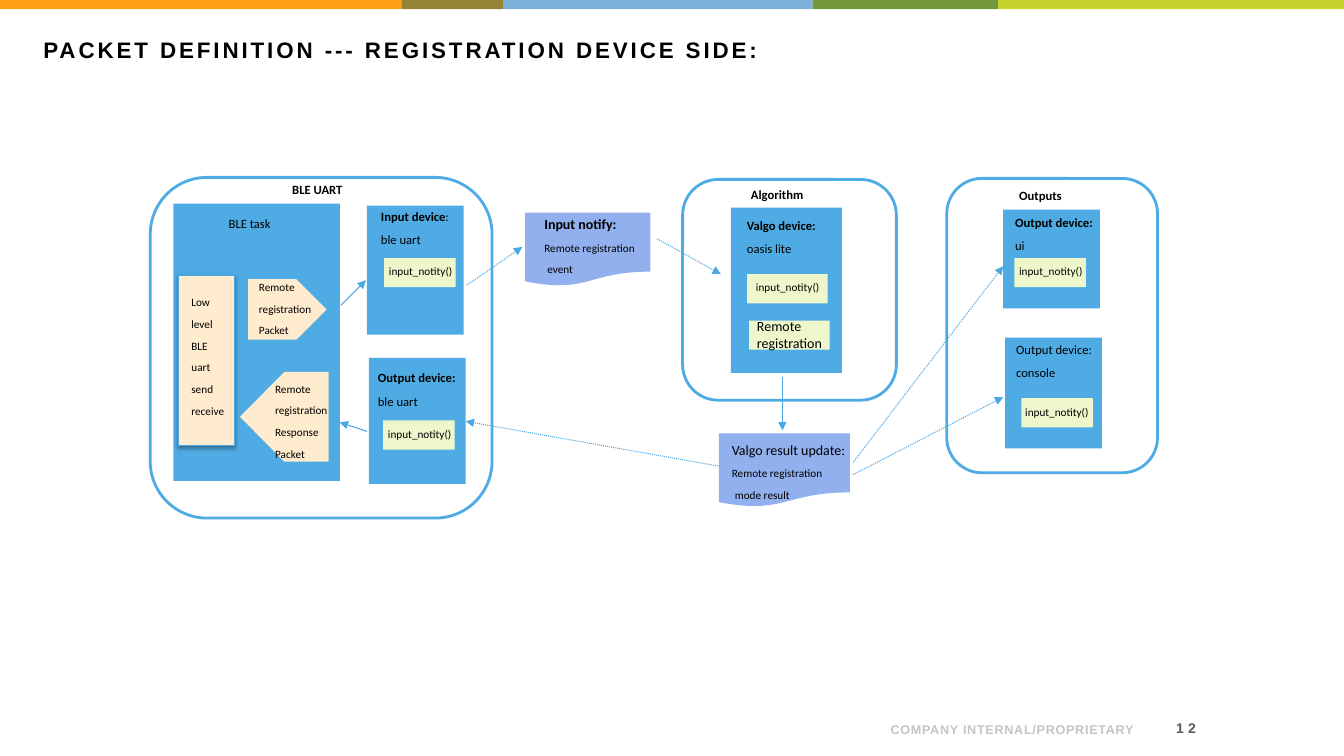
from dataclasses import dataclass

from lxml.etree import SubElement
from pptx import Presentation
from pptx.dml.color import RGBColor
from pptx.enum.dml import MSO_LINE
from pptx.enum.shapes import MSO_CONNECTOR, MSO_SHAPE
from pptx.enum.text import MSO_ANCHOR, PP_ALIGN
from pptx.oxml import parse_xml
from pptx.oxml.ns import nsdecls, qn
from pptx.util import Pt

PX = 9144  # 100 px to the inch


@dataclass(frozen=True)
class Theme:
    body_font: str = "Calibri"
    title_font: str = "Arial"
    title_size: int = 16
    heading: int = 10
    label: int = 9
    small: int = 8
    black: str = "000000"
    white: str = "FFFFFF"
    blue: str = "4FABE3"
    arrow: str = "4AA8E2"
    cream: str = "FFEBCE"
    lime: str = "EEF7CC"
    lilac: str = "92B0EE"
    page_number: str = "595959"
    footer: str = "C4C4C4"
    bands: tuple = ("FFA015", "958436", "7DB2DB", "73983E", "C7D22D")


theme = Theme()
deck = Presentation()
deck.slide_width, deck.slide_height = 1333 * PX, 750 * PX
page = deck.slides.add_slide(deck.slide_layouts[5])


def add_block(kind, at, fill, line=None, width=2):
    block = page.shapes.add_shape(kind, *[value * PX for value in at])
    block.shadow.inherit = False
    block.fill.solid()
    block.fill.fore_color.rgb = RGBColor.from_string(fill)
    if line:
        block.line.color.rgb = RGBColor.from_string(line)
        block.line.width = Pt(width)
    else:
        block.line.fill.background()
    return block


def style_span(span, size, bold, font=theme.body_font, color=theme.black, spacing=0):
    """Format one run; spacing is in hundredths of a point."""
    span.font.name, span.font.size, span.font.bold = font, Pt(size), bold
    span.font.color.rgb = RGBColor.from_string(color)
    if spacing:
        span.font._element.set("spc", str(spacing))


# Title, colour band and footer
title = page.shapes.title
title.left, title.top, title.width, title.height = [v * PX for v in (33, 31, 1253, 72)]
title.text_frame.text = "PACKET DEFINITION --- REGISTRATION DEVICE SIDE:"
title.text_frame.vertical_anchor = MSO_ANCHOR.TOP
title.text_frame.paragraphs[0].alignment = PP_ALIGN.LEFT
style_span(title.text_frame.paragraphs[0].runs[0], theme.title_size, True,
           theme.title_font, spacing=210)

band_edges = (0, 398, 499, 806, 990, 1333)
for left, right, color in zip(band_edges, band_edges[1:], theme.bands):
    add_block(MSO_SHAPE.RECTANGLE, (left, 0, right - left, 9), color)

footers = (
    ("12", (1128, 707, 65, 30), MSO_ANCHOR.MIDDLE, 7, theme.heading, theme.page_number, 300),
    ("COMPANY INTERNAL/PROPRIETARY", (851, 702, 283, 34), MSO_ANCHOR.BOTTOM, 10,
     theme.label, theme.footer, 50),
)
for text, at, anchor, margin, size, color, spacing in footers:
    box = page.shapes.add_textbox(*[value * PX for value in at])
    frame = box.text_frame
    frame.word_wrap = True
    frame.vertical_anchor = anchor
    frame.margin_left = frame.margin_right = margin * PX
    frame.text = text
    frame.paragraphs[0].alignment = PP_ALIGN.RIGHT
    style_span(frame.paragraphs[0].runs[0], size, True, theme.title_font, color, spacing)

# Containers, devices, messages and calls
for container in ((149, 176, 339, 338), (677, 178, 212, 219), (939, 177, 209, 292)):
    add_block(MSO_SHAPE.ROUNDED_RECTANGLE, container, theme.white, theme.blue)

devices = ((172, 202, 165, 275), (364, 204, 96, 128), (366, 355, 96, 125),
           (725, 206, 110, 164), (995, 208, 96, 98), (997, 335, 96, 110))
for device in devices:
    add_block(MSO_SHAPE.RECTANGLE, device, theme.blue)

for message in ((521, 211, 124, 73), (713, 430, 130, 73)):
    add_block(MSO_SHAPE.FLOWCHART_DOCUMENT, message, theme.lilac)

calls = ((381, 256, 71), (380, 417, 71), (741, 272, 80),
         (743, 318, 80), (1006, 256, 71), (1013, 395, 71))
for left, top, width in calls:
    add_block(MSO_SHAPE.RECTANGLE, (left, top, width, 29), theme.lime)

add_block(MSO_SHAPE.PENTAGON, (246, 277, 78, 60), theme.cream)
response = add_block(MSO_SHAPE.PENTAGON, (238, 369, 88, 89), theme.cream)
response.rotation = 180

low_level = add_block(MSO_SHAPE.RECTANGLE, (177, 273, 56, 169), theme.cream, theme.arrow, 0.75)
effects = low_level._element.spPr.find(qn("a:effectLst"))
effects.append(parse_xml(
    f'<a:outerShdw {nsdecls("a")} blurRad="{Pt(3.1)}" dist="{Pt(1.8)}" dir="5400000" '
    'rotWithShape="0"><a:srgbClr val="000000"><a:alpha val="35000"/></a:srgbClr></a:outerShdw>'))

# Labels: place, then lines of (text, size, bold); text after "|" is regular
label, small, heading = theme.label, theme.small, theme.heading
labels = [
    ((280, 176, 81, 32), [("BLE UART", label, True)]),
    ((735, 180, 81, 32), [("Algorithm", label, True)]),
    ((1001, 181, 81, 32), [("Outputs", label, True)]),
    ((217, 209, 100, 36), [("BLE task", label, False)]),
    ((368, 202, 90, 47), [("Input device|:", label, True), ("ble uart", label, False)]),
    ((365, 362, 90, 49), [("Output device:", label, True), ("ble uart", label, False)]),
    ((731, 211, 90, 38), [("Valgo device:", label, True), ("oasis lite", label, False)]),
    ((997, 208, 90, 49), [("Output device:", label, True), ("ui", label, False)]),
    ((998, 334, 90, 49), [("Output device:", label, False), ("console", label, False)]),
    ((530, 209, 115, 60), [("Input notify:", heading, True),
                           ("Remote registration", small, False), ("event", small, False)]),
    ((716, 433, 125, 60), [("Valgo result update:", heading, False),
                           ("Remote registration", small, False),
                           ("mode result", small, False)]),
    ((741, 310, 100, 21), [("Remote\vregistration", heading, False)]),
]
for at, words in (
    ((247, 273, 78, 29), "Remote registration Packet"),
    ((263, 374, 78, 29), "Remote registration Response Packet"),
    ((180, 288, 44, 132), "Low level BLE uart send receive"),
):
    labels.append((at, [(word, small, False) for word in words.split()]))
for left, top in ((376, 257), (375, 419), (740, 273), (1001, 257), (1007, 397)):
    labels.append(((left, top, 100, 26), [("input_notity()", small, False)]))

for at, lines in labels:
    box = page.shapes.add_textbox(*[value * PX for value in at])
    frame = box.text_frame
    frame.word_wrap = False
    frame.margin_right = 0
    for index, (text, size, bold) in enumerate(lines):
        para = frame.paragraphs[0] if index == 0 else frame.add_paragraph()
        strong, _, regular = text.partition("|")
        para.text = strong
        if index:
            para.space_before = Pt(6)
        if text in ("event", "mode result"):
            para._p.get_or_add_pPr().set("marL", str(3 * PX))
        for span in para.runs:
            style_span(span, size, bold)
        if regular:
            span = para.add_run()
            span.text = regular
            style_span(span, size, False)

# Arrows: from, to, dotted
arrows = (
    (338, 303, 363, 278, False), (364, 428, 337, 419, False),
    (463, 283, 518, 245, True), (652, 237, 715, 272, True),
    (776, 374, 776, 427, False), (716, 463, 462, 418, True),
    (846, 459, 995, 264, True), (846, 471, 995, 394, True),
)
for *ends, dotted in arrows:
    arrow = page.shapes.add_connector(MSO_CONNECTOR.STRAIGHT, *[value * PX for value in ends])
    arrow.line.color.rgb = RGBColor.from_string(theme.arrow)
    arrow.line.width = Pt(0.75)
    if dotted:
        arrow.line.dash_style = MSO_LINE.ROUND_DOT
    properties = arrow._element.spPr
    SubElement(properties.find(qn("a:ln")), qn("a:tailEnd"), type="triangle")
    SubElement(properties, qn("a:effectLst"))

deck.save("out.pptx")
